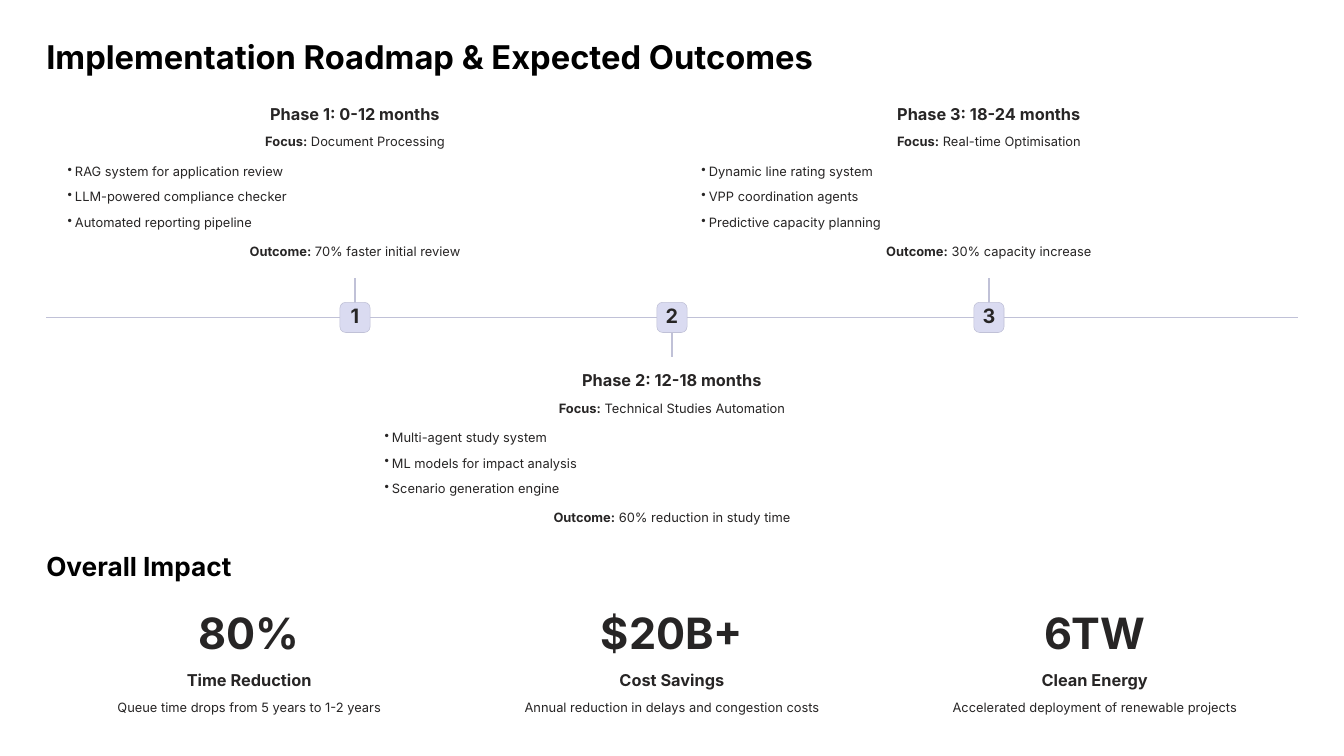
from lxml import etree
from pptx import Presentation
from pptx.dml.color import RGBColor
from pptx.enum import shapes, text
from pptx.oxml.ns import qn
from pptx.util import Cm, Pt

FONT = "Inter"
BLACK, INK, LILAC, LINE = "000000", "272525", "DADBF1", "C0C1D7"
CENTER, LEFT = text.PP_ALIGN.CENTER, text.PP_ALIGN.LEFT
AXIS_Y = 12

PHASES = [
    ("Phase 1: 0-12 months", "Document Processing",
     ["RAG system for application review", "LLM-powered compliance checker",
      "Automated reporting pipeline"], "70% faster initial review"),
    ("Phase 2: 12-18 months", "Technical Studies Automation",
     ["Multi-agent study system", "ML models for impact analysis",
      "Scenario generation engine"], "60% reduction in study time"),
    ("Phase 3: 18-24 months", "Real-time Optimisation",
     ["Dynamic line rating system", "VPP coordination agents",
      "Predictive capacity planning"], "30% capacity increase"),
]
IMPACTS = [
    ("80%", "Time Reduction", "Queue time drops from 5 years to 1-2 years"),
    ("$20B+", "Cost Savings", "Annual reduction in delays and congestion costs"),
    ("6TW", "Clean Energy", "Accelerated deployment of renewable projects"),
]


def rgb(value):
    return RGBColor.from_string(value)


def style(p, size, leading, bold=False, align=LEFT, color=INK):
    p.alignment = align
    p.line_spacing = Pt(leading)
    for r in p.runs:
        r.font.name = FONT
        r.font.size = Pt(size)
        r.font.bold = bold
        r.font.color.rgb = rgb(color)


def add_frame(s, x, y, w, h):
    tf = s.shapes.add_textbox(Cm(x), Cm(y), Cm(w), Cm(h)).text_frame
    tf.margin_left = tf.margin_right = tf.margin_top = tf.margin_bottom = 0
    tf.word_wrap = True
    return tf


def add_text(s, x, y, w, h, content, size, leading, **options):
    tf = add_frame(s, x, y, w, h)
    tf.text = content
    style(tf.paragraphs[0], size, leading, **options)


def add_labelled(s, x, y, w, label, content):
    p = add_frame(s, x, y, w, 0.97).paragraphs[0]
    p.add_run().text = label
    p.add_run().text = " " + content
    style(p, 13.8, 22.5, align=CENTER)
    p.runs[0].font.bold = True


def add_bullets(s, x, y, w, items):
    tf = add_frame(s, x, y, w, 2.93)
    tf.text = "\n".join(items)
    for i, p in enumerate(tf.paragraphs):
        pPr = p._p.get_or_add_pPr()
        pPr.set("marL", str(Cm(0.58)))
        pPr.set("indent", str(Cm(-0.28)))
        etree.SubElement(pPr, qn("a:buChar")).set("char", "•")
        style(p, 13.8, 22.5)
        if i:
            p.space_before = Pt(5.2)


def add_line(s, x1, y1, x2, y2):
    line = s.shapes.add_connector(shapes.MSO_CONNECTOR.STRAIGHT,
                                  Cm(x1), Cm(y1), Cm(x2), Cm(y2))
    line.line.color.rgb = rgb(LINE)
    line.line.width = Pt(1.5)
    etree.SubElement(line._element.spPr, qn("a:effectLst"))


def add_marker(s, x, y, number, side=1.14):
    sp = s.shapes.add_shape(shapes.MSO_SHAPE.ROUNDED_RECTANGLE, Cm(x - side / 2),
                            Cm(y - side / 2), Cm(side), Cm(side))
    sp.adjustments[0] = 0.19
    sp.shadow.inherit = False
    sp.fill.solid()
    sp.fill.fore_color.rgb = rgb(LILAC)
    sp.line.color.rgb = rgb(LINE)
    sp.line.width = Pt(0.6)
    tf = sp.text_frame
    tf.margin_left = tf.margin_right = tf.margin_top = tf.margin_bottom = 0
    tf.vertical_anchor = text.MSO_ANCHOR.MIDDLE
    tf.text = str(number)
    style(tf.paragraphs[0], 21.2, 21.2, bold=True, align=CENTER)


def add_phase(s, x, y, w, phase):
    title, focus, items, outcome = phase
    add_text(s, x, y, w, 0.81, title, 17.5, 21.9, bold=True, align=CENTER)
    add_labelled(s, x, y + 0.96, w, "Focus:", focus)
    add_bullets(s, x, y + 2.06, w, items)
    add_labelled(s, x, y + 5.11, w, "Outcome:", outcome)


def add_timeline(s, x, w, step=11.98, phase_w=22.33):
    add_line(s, x, AXIS_Y, x + w, AXIS_Y)
    for i, phase in enumerate(PHASES):
        center = x + w / 2 + (i - 1) * step
        below = i % 2 == 1
        add_line(s, center, AXIS_Y, center, AXIS_Y + (1.5 if below else -1.5))
        add_marker(s, center, AXIS_Y, i + 1)
        add_phase(s, center - phase_w / 2, 13.96 if below else 3.9, phase_w, phase)


def add_impacts(s, x, y, w, gap=0.64):
    add_text(s, x, y, w, 1.27, "Overall Impact", 28.1, 35, bold=True, color=BLACK)
    col_w = (w - gap * 2) / 3
    for i, (figure, title, detail) in enumerate(IMPACTS):
        left = x + i * (col_w + gap)
        add_text(s, left, y + 2.51, col_w, 1.42, figure, 46.2, 46.2,
                 bold=True, align=CENTER)
        add_text(s, left, y + 4.54, col_w, 0.81, title, 17.5, 21.9,
                 bold=True, align=CENTER)
        add_text(s, left, y + 5.48, col_w, 0.97, detail, 13.8, 22.5, align=CENTER)


def main():
    prs = Presentation()
    prs.slide_width, prs.slide_height = Cm(50.8), Cm(28.58)
    s = prs.slides.add_slide(prs.slide_layouts[6])
    s.background.fill.solid()
    s.background.fill.fore_color.rgb = rgb("FFFFFF")
    margin, width = 1.75, 47.3
    add_text(s, margin, 1.32, width, 1.63, "Implementation Roadmap & Expected Outcomes",
             35, 43.8, bold=True, color=BLACK)
    add_timeline(s, margin, width)
    add_impacts(s, margin, 20.75, width)
    prs.save("out.pptx")


if __name__ == "__main__":
    main()
